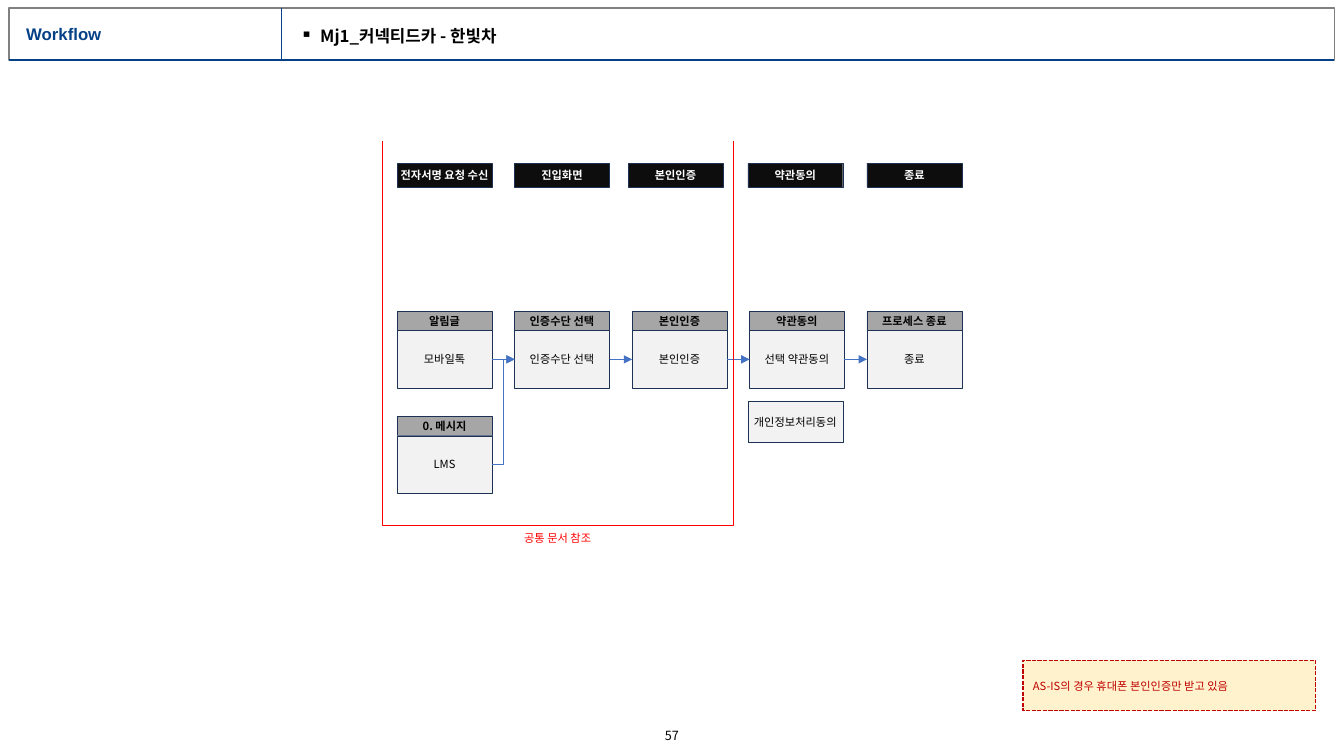
from lxml.etree import SubElement
from pptx import Presentation
from pptx.dml.color import RGBColor
from pptx.enum.dml import MSO_LINE
from pptx.enum.shapes import MSO_CONNECTOR, MSO_SHAPE
from pptx.enum.text import MSO_ANCHOR, PP_ALIGN
from pptx.oxml.ns import qn
from pptx.util import Cm, Pt

KOREAN = "Noto Sans CJK KR"
NAVY = "054186"
FIRST_LEFT, PITCH, NODE_WIDTH = 10.01, 2.96, 2.39
HEAD_HEIGHT, BODY_HEIGHT = 0.48, 1.45
FLOW_TOP, MESSAGE_TOP = 7.85, 10.5


def colour(value):
    """Turn a hex string into a colour."""
    return RGBColor.from_string(value)


def write(shape, text, size=8, ink="000000", bold=False, font=KOREAN,
          align=PP_ALIGN.CENTER, anchor=MSO_ANCHOR.MIDDLE, wrap=False, inset=None):
    """Put one run of text in a shape and return its paragraph."""
    frame = shape.text_frame
    frame.word_wrap = wrap
    frame.vertical_anchor = anchor
    if inset is not None:
        frame.margin_left = frame.margin_right = Cm(inset)
        frame.margin_top = frame.margin_bottom = Cm(inset)
    para = frame.paragraphs[0]
    para.alignment = align
    span = para.add_run()
    span.text = text
    span.font.size = Pt(size)
    span.font.bold = bold
    span.font.name = font
    span.font.color.rgb = colour(ink)
    SubElement(span.font._element, qn("a:ea"), typeface=font)
    return para


def add_box(page, left, top, width, height, fill=None, line="1E3256", weight=0.25,
            kind=MSO_SHAPE.RECTANGLE):
    """Add a flat preset shape."""
    box = page.shapes.add_shape(kind, Cm(left), Cm(top), Cm(width), Cm(height))
    box.shadow.inherit = False
    if fill:
        box.fill.solid()
        box.fill.fore_color.rgb = colour(fill)
    else:
        box.fill.background()
    box.line.color.rgb = colour(line)
    box.line.width = Pt(weight)
    return box


def add_label(page, left, top, width, height, text, **style):
    """Add a text box and return its paragraph."""
    box = page.shapes.add_textbox(Cm(left), Cm(top), Cm(width), Cm(height))
    return write(box, text, **style)


def add_line(page, start, end, line, weight, kind=MSO_CONNECTOR.STRAIGHT):
    """Add a connector without a shadow."""
    connector = page.shapes.add_connector(kind, *map(Cm, start + end))
    connector.line.color.rgb = colour(line)
    connector.line.width = Pt(weight)
    SubElement(connector._element.spPr, qn("a:effectLst"))
    return connector


def add_arrow(page, source, target, kind=MSO_CONNECTOR.STRAIGHT):
    """Join the right side of one box to the left side of another."""
    arrow = add_line(page, (0, 0), (1, 1), "4472C4", 0.5, kind)
    arrow.begin_connect(source, 3)
    arrow.end_connect(target, 1)
    SubElement(arrow.line._get_or_add_ln(), qn("a:tailEnd"), type="triangle")


def add_node(page, left, top, heading, text):
    """Add a grey heading over a pale body and return the body."""
    head = add_box(page, left, top, NODE_WIDTH, HEAD_HEIGHT, "A6A6A6")
    write(head, heading, bold=True)
    body = add_box(page, left, top + HEAD_HEIGHT, NODE_WIDTH, BODY_HEIGHT, "F2F2F2")
    write(body, text)
    return body


def add_title_bar(page):
    """Add the framed title and the bulleted subject."""
    add_box(page, 0.23, 0.2, 33.4, 1.31, line="808080", weight=1)
    add_line(page, (0.23, 1.51), (33.63, 1.51), NAVY, 1)
    add_line(page, (7.09, 0.2), (7.09, 1.51), NAVY, 1)
    title = add_label(page, 0.41, 0.53, 6.43, 0.71, "Workflow", size=12, ink=NAVY, bold=True,
                      font="Arial", align=PP_ALIGN.LEFT, anchor=MSO_ANCHOR.TOP, wrap=True)
    title.line_spacing = 0.9
    subject = add_label(page, 7.32, 0.61, 19.43, 0.66, "Mj1_커넥티드카 - 한빛차", size=12,
                        bold=True, align=PP_ALIGN.LEFT, wrap=True)
    subject.line_spacing = 0.9
    subject.space_before = Pt(10)
    properties = subject._p.get_or_add_pPr()
    properties.set("marL", str(Cm(0.5)))
    properties.set("indent", str(Cm(-0.5)))
    SubElement(properties, qn("a:buChar"), char="▪")


def add_workflow(page):
    """Add the stages, their nodes and the arrows between them."""
    stages = [
        ("전자서명 요청 수신", "알림글", "모바일톡"),
        ("진입화면", "인증수단 선택", "인증수단 선택"),
        ("본인인증", "본인인증", "본인인증"),
        ("약관동의", "약관동의", "선택 약관동의"),
        ("종료", "프로세스 종료", "종료"),
    ]
    stage_shifts = [0, 0, -0.1, -0.04, 0]
    bodies = []
    for index, (stage, heading, text) in enumerate(stages):
        left = FIRST_LEFT + index * PITCH
        banner = add_box(page, left + stage_shifts[index], 4.11, NODE_WIDTH, 0.61, "0D0D0D")
        write(banner, stage, ink="FFFFFF", bold=True)
        bodies.append(add_node(page, left, FLOW_TOP, heading, text))
    message = add_node(page, FIRST_LEFT, MESSAGE_TOP, "0. 메시지", "LMS")
    for source, target in zip(bodies, bodies[1:]):
        add_arrow(page, source, target)
    add_arrow(page, message, bodies[1], MSO_CONNECTOR.ELBOW)
    privacy = add_box(page, 18.85, 10.11, NODE_WIDTH, 1.04, "F2F2F2")
    write(privacy, "개인정보처리동의")


def add_notes_on_flow(page):
    """Add the shared-document bracket and the dashed remark."""
    bracket = add_box(page, 9.22, 3.96, 9.68, 8.86, line="FF0000", weight=0.5,
                      kind=MSO_SHAPE.RIGHT_BRACKET)
    bracket.adjustments[0] = 0
    bracket.rotation = 90
    add_label(page, 13.18, 13.39, 1.75, 0.33, "공통 문서 참조", ink="FF0000", inset=0)
    remark = add_box(page, 25.78, 16.64, 7.37, 1.27, "FFF2CC", "C00000", 1)
    remark.line.dash_style = MSO_LINE.SQUARE_DOT
    write(remark, "AS-IS의 경우 휴대폰 본인인증만 받고 있음", ink="C00000",
          align=PP_ALIGN.LEFT, wrap=True)


def main():
    """Build the deck."""
    deck = Presentation()
    deck.slide_width, deck.slide_height = Cm(33.87), Cm(19.05)
    page = deck.slides.add_slide(deck.slide_layouts[6])
    add_title_bar(page)
    add_workflow(page)
    add_notes_on_flow(page)
    add_label(page, 16.51, 18.34, 0.84, 0.38, "57", size=9, inset=0, wrap=True,
              anchor=MSO_ANCHOR.TOP)
    deck.save("out.pptx")


if __name__ == "__main__":
    main()
